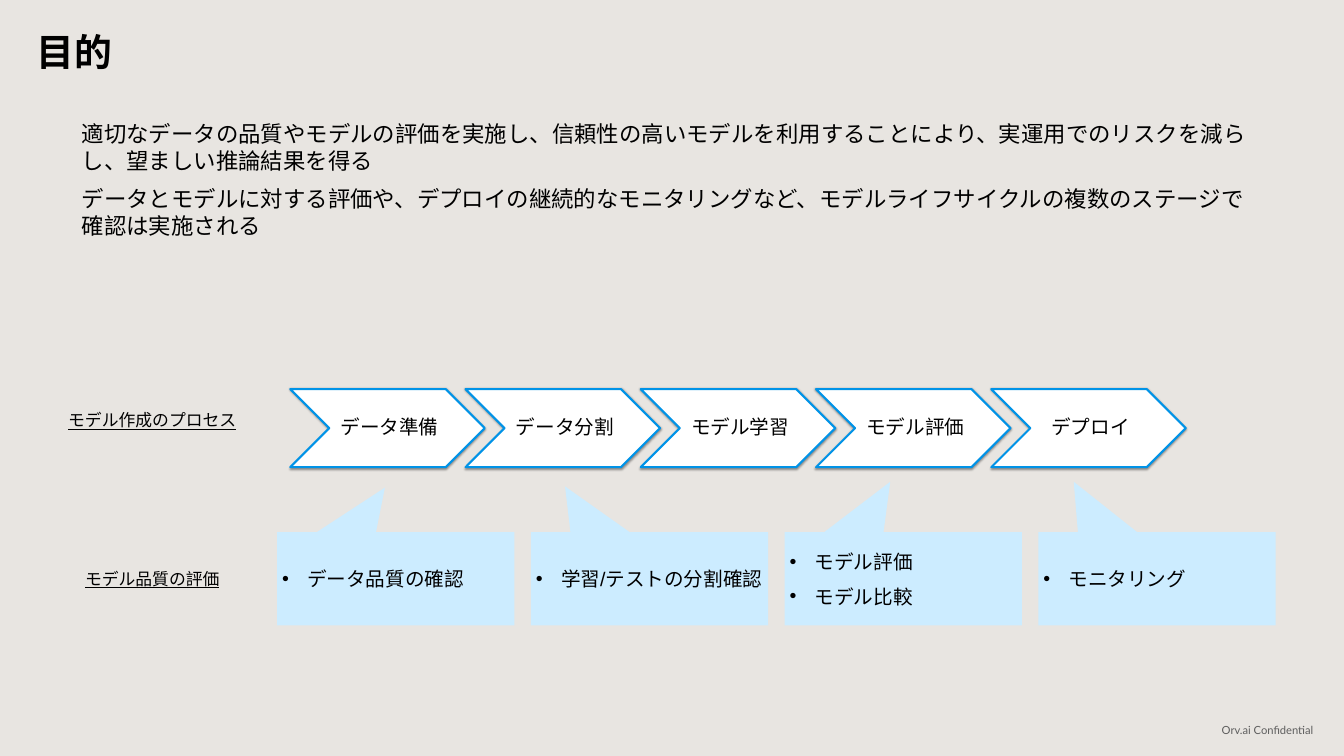
"""Builds the slide on the purpose of model quality checks."""
from lxml import etree
from pptx import Presentation
from pptx import util as u
from pptx.dml.color import RGBColor
from pptx.enum import shapes, text
from pptx.oxml import ns

BACKGROUND = RGBColor(0xE8, 0xE5, 0xE1)
BLACK = RGBColor(0, 0, 0)
WHITE = RGBColor(0xFF, 0xFF, 0xFF)
BLUE = RGBColor(0x00, 0x93, 0xE7)
PALE_BLUE = RGBColor(0xCC, 0xEC, 0xFF)
GREY = RGBColor(0x5E, 0x5E, 0x5E)

BODY = [
    "適切なデータの品質やモデルの評価を実施し、信頼性の高いモデルを利用することにより、実運用でのリスクを減らし、望ましい推論結果を得る",
    "データとモデルに対する評価や、デプロイの継続的なモニタリングなど、モデルライフサイクルの複数のステージで確認は実施される",
]
STEPS = ["データ準備", "データ分割", "モデル学習", "モデル評価", "デプロイ"]
CHECKS = [
    (["データ品質の確認"], (-0.046, -0.978)),
    (["学習/テストの分割確認"], (-0.356, -0.991)),
    (["モデル評価", "モデル比較"], (-0.055, -1.041)),
    (["モニタリング"], (-0.351, -1.041)),
]
LABELS = [("モデル作成のプロセス", 53.87), ("モデル品質の評価", 74.87)]


class SlideBuilder:
    """Holds the style and the current slide; boxes are percentages of the slide."""

    def __init__(self, presentation):
        self.width = presentation.slide_width
        self.height = presentation.slide_height
        self.slide = presentation.slides.add_slide(presentation.slide_layouts[1])
        self.slide.background.fill.solid()
        self.slide.background.fill.fore_color.rgb = BACKGROUND

    def area(self, left, top, width, height):
        return (int(self.width * left / 100), int(self.height * top / 100),
                int(self.width * width / 100), int(self.height * height / 100))

    def set_text(self, shape, lines, size, align=text.PP_ALIGN.LEFT,
                 anchor=text.MSO_ANCHOR.TOP, bullet=False, font="Arial",
                 color=BLACK, bold=False, underline=False):
        frame = shape.text_frame
        frame.word_wrap = True
        frame.auto_size = text.MSO_AUTO_SIZE.NONE
        frame.vertical_anchor = anchor
        frame.text = "\n".join(lines)
        for index, paragraph in enumerate(frame.paragraphs):
            self.set_bullet(paragraph, bullet)
            paragraph.alignment = align
            paragraph.space_before = u.Pt(16 if index else 0)
            paragraph.font.size = u.Pt(size)
            paragraph.font.name = font
            paragraph.font.color.rgb = color
            paragraph.font.bold = bold
            paragraph.font.underline = underline
        return frame

    def set_bullet(self, paragraph, bullet):
        properties = paragraph._p.get_or_add_pPr()
        indent = u.Inches(0.5) if bullet else 0
        properties.set("marL", str(indent))
        properties.set("indent", str(-indent))
        if bullet:
            etree.SubElement(properties, ns.qn("a:buFont")).set("typeface", "Arial")
            etree.SubElement(properties, ns.qn("a:buChar")).set("char", "•")
        else:
            etree.SubElement(properties, ns.qn("a:buNone"))

    def placeholder(self, index, area, lines, size, **style):
        shape = self.slide.placeholders[index]
        shape.left, shape.top, shape.width, shape.height = self.area(*area)
        self.set_text(shape, lines, size, **style)

    def textbox(self, area, line, size, **style):
        shape = self.slide.shapes.add_textbox(*self.area(*area))
        return self.set_text(shape, [line], size, **style)

    def filled_shape(self, kind, area, fill):
        shape = self.slide.shapes.add_shape(kind, *self.area(*area))
        shape.shadow.inherit = False
        shape.fill.solid()
        shape.fill.fore_color.rgb = fill
        return shape

    def step(self, area, line):
        shape = self.filled_shape(shapes.MSO_SHAPE.CHEVRON, area, WHITE)
        shape.line.color.rgb = BLUE
        shape.line.width = u.Pt(3)
        effects = shape._element.spPr.find(ns.qn("a:effectLst"))
        shadow = etree.SubElement(effects, ns.qn("a:outerShdw"), blurRad=str(u.Pt(3.1)),
                                  dist=str(u.Pt(1.6)), dir="5400000", rotWithShape="0")
        shade = etree.SubElement(shadow, ns.qn("a:srgbClr"), val=str(BLACK))
        etree.SubElement(shade, ns.qn("a:alpha"), val="38000")
        frame = self.set_text(shape, [line], 28, align=text.PP_ALIGN.CENTER,
                              anchor=text.MSO_ANCHOR.MIDDLE)
        frame.margin_left = u.Inches(0.12)
        frame.margin_right = frame.margin_top = frame.margin_bottom = u.Inches(0.04)
        frame.paragraphs[0].line_spacing = 0.9

    def callout(self, area, lines, tip):
        shape = self.filled_shape(shapes.MSO_SHAPE.RECTANGULAR_CALLOUT, area, PALE_BLUE)
        shape.line.fill.background()
        shape.adjustments[0], shape.adjustments[1] = tip
        self.set_text(shape, lines, 28, anchor=text.MSO_ANCHOR.MIDDLE, bullet=True)

    def footer(self, area, line):
        frame = self.textbox(area, line, 16, align=text.PP_ALIGN.RIGHT,
                             font="Lato", color=GREY)
        frame.margin_left = frame.margin_right = u.Inches(0.05)
        frame.paragraphs[0].line_spacing = 0.8


def main():
    presentation = Presentation()
    presentation.slide_width = u.Inches(26.67)
    presentation.slide_height = u.Inches(15)
    builder = SlideBuilder(presentation)
    builder.footer((87.52, 95.67, 10.39, 2.8), "Orv.ai Confidential")
    builder.placeholder(0, (2.36, 3.4, 89.35, 6.73), ["目的"], 54, bold=True)
    builder.placeholder(1, (5.7, 15.6, 88.6, 16.53), BODY, 32)
    for index, name in enumerate(STEPS):
        builder.step((21.6 + 13.04 * index, 51.47, 14.47, 10.33), name)
    for index, (lines, tip) in enumerate(CHECKS):
        builder.callout((20.62 + 18.88 * index, 70.4, 17.66, 12.33), lines, tip)
    for label, top in LABELS:
        builder.textbox((3.6, top, 15.45, 3.33), label, 24,
                        align=text.PP_ALIGN.CENTER, underline=True)
    presentation.save("out.pptx")


if __name__ == "__main__":
    main()
